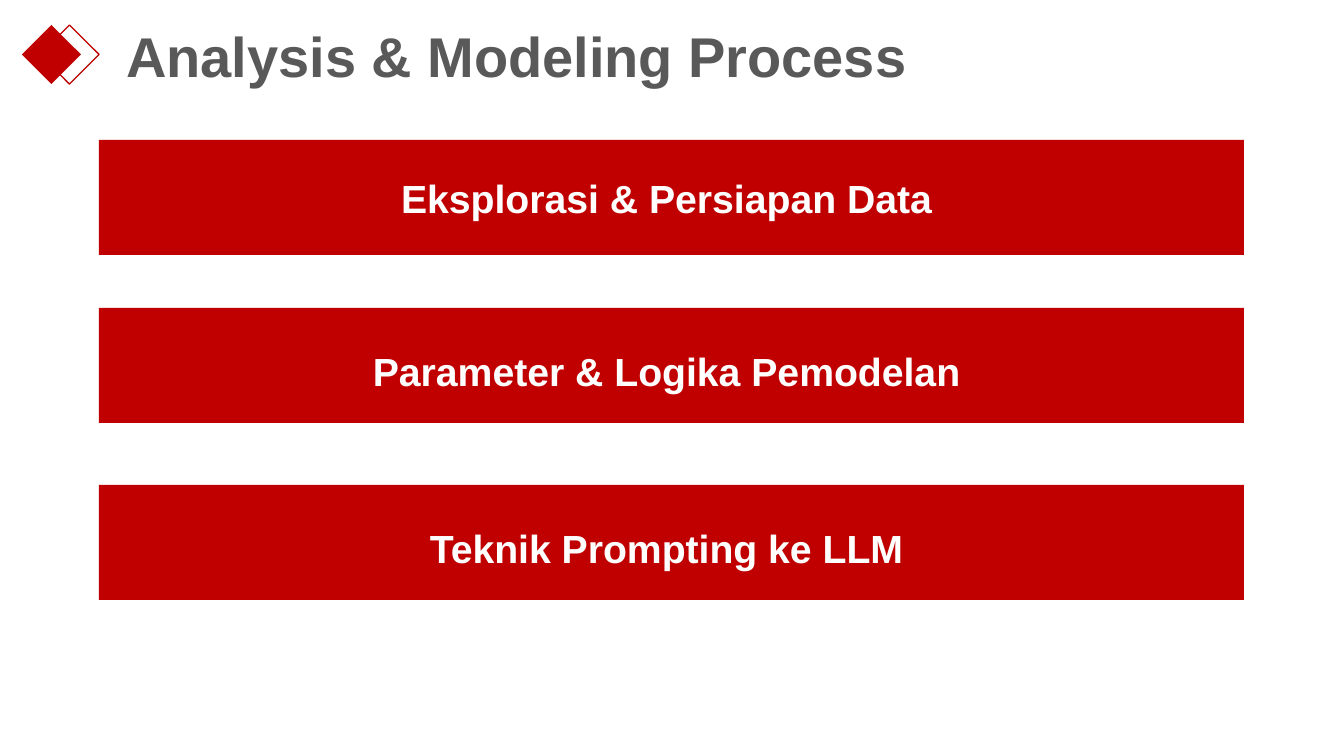
"""Build the Analysis & Modeling Process slide with three step bars."""
from pptx import Presentation
from pptx.dml.color import RGBColor
from pptx.enum.shapes import MSO_SHAPE
from pptx.enum.text import MSO_ANCHOR, MSO_AUTO_SIZE, PP_ALIGN
from pptx.util import Pt

TITLE = "Analysis & Modeling Process"
STEPS = [
    ("Eksplorasi & Persiapan Data", 140, 1.0),
    ("Parameter & Logika Pemodelan", 308, 1.2),
    ("Teknik Prompting ke LLM", 485, 1.2),
]
MARKS = [(22, True), (40, False)]
MARK_TOP, MARK_SIZE = 25, 59
TITLE_BOX = (116, 32, 816, 46)
BAR_LEFT, BAR_WIDE, BAR_HIGH = 99, 1145, 115
TEXT_LEFT, TEXT_DROP, TEXT_WIDE, TEXT_HIGH = 154, 8, 1025, 100

THEME = {
    "red": RGBColor(0xC0, 0x00, 0x00),
    "title": {"name": "Arial", "size": Pt(40), "bold": True},
    "label": {"name": "Arial", "size": Pt(28), "bold": True},
    "gray": RGBColor(0x59, 0x59, 0x59),
    "white": RGBColor(0xFF, 0xFF, 0xFF),
}
FRAME = {
    "word_wrap": True,
    "auto_size": MSO_AUTO_SIZE.NONE,
    "vertical_anchor": MSO_ANCHOR.MIDDLE,
}
SCALE = 914400 / 100.8


def emu(*sizes):
    return [round(size * SCALE) for size in sizes]


def apply(item, values):
    for name, value in values.items():
        setattr(item, name, value)


def write(shape, text, font, color, align, space=1.0):
    frame = shape.text_frame
    frame.text = text
    apply(frame, FRAME)
    line = frame.paragraphs[0]
    apply(line, {"alignment": align, "line_spacing": space})
    run = line.runs[0]
    apply(run.font, font)
    run.font.color.rgb = color


def draw(slide, kind, box, solid=True):
    shape = slide.shapes.add_shape(kind, *emu(*box))
    shape.shadow.inherit = False
    if solid:
        shape.fill.solid()
        shape.fill.fore_color.rgb = THEME["red"]
        shape.line.fill.background()
    else:
        shape.fill.background()
        shape.line.color.rgb = THEME["red"]
        shape.line.width = Pt(1)


def main():
    deck = Presentation()
    deck.slide_width, deck.slide_height = emu(1344, 756)
    slide = deck.slides.add_slide(deck.slide_layouts[5])

    for left, solid in MARKS:
        draw(slide, MSO_SHAPE.DIAMOND, (left, MARK_TOP, MARK_SIZE, MARK_SIZE), solid)

    title = slide.shapes.title
    apply(title, dict(zip(("left", "top", "width", "height"), emu(*TITLE_BOX))))
    write(title, TITLE, THEME["title"], THEME["gray"], PP_ALIGN.LEFT)

    for text, top, space in STEPS:
        draw(slide, MSO_SHAPE.RECTANGLE, (BAR_LEFT, top, BAR_WIDE, BAR_HIGH))
        box = emu(TEXT_LEFT, top + TEXT_DROP, TEXT_WIDE, TEXT_HIGH)
        label = slide.shapes.add_textbox(*box)
        write(label, text, THEME["label"], THEME["white"], PP_ALIGN.CENTER, space)

    deck.save("out.pptx")


if __name__ == "__main__":
    main()
